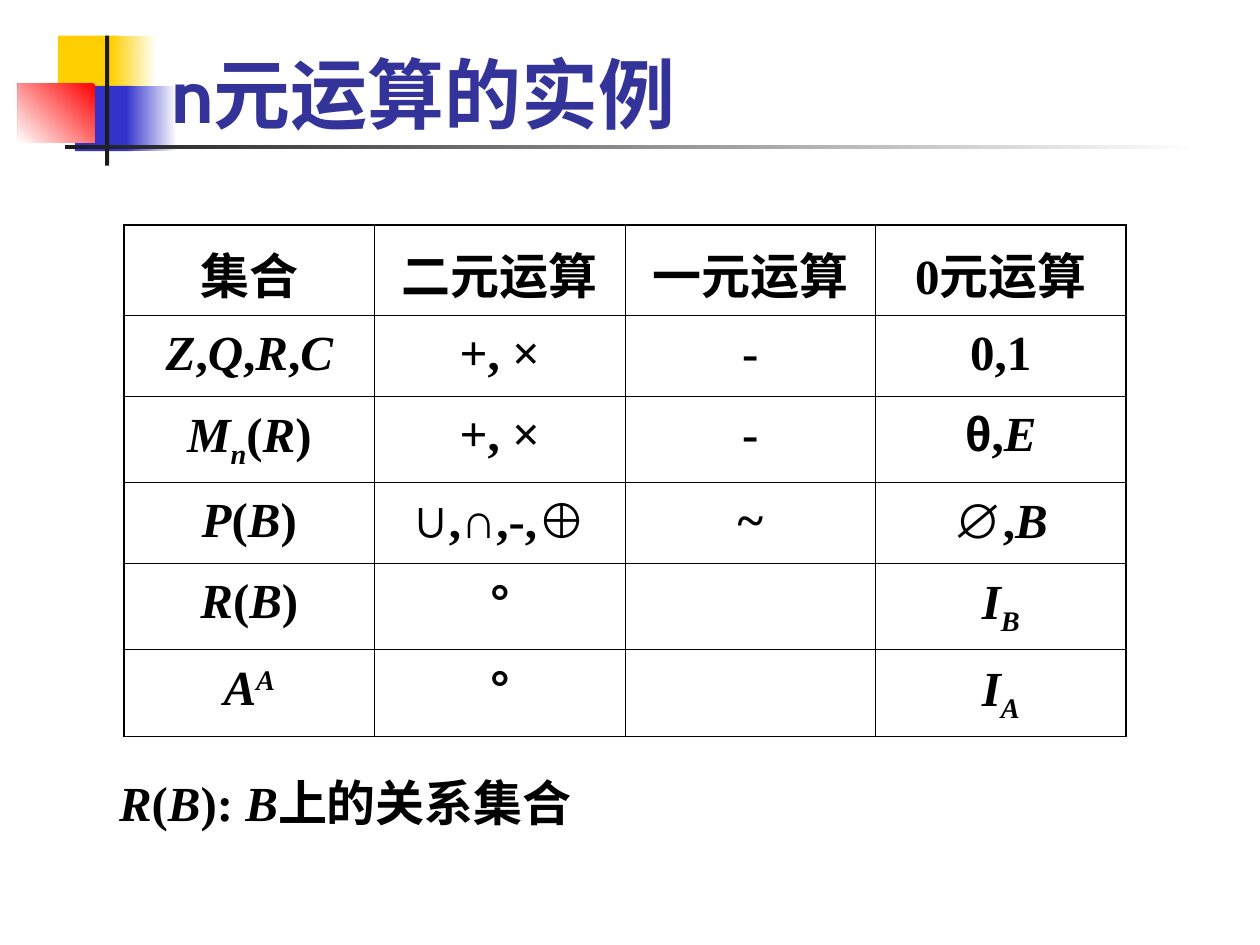
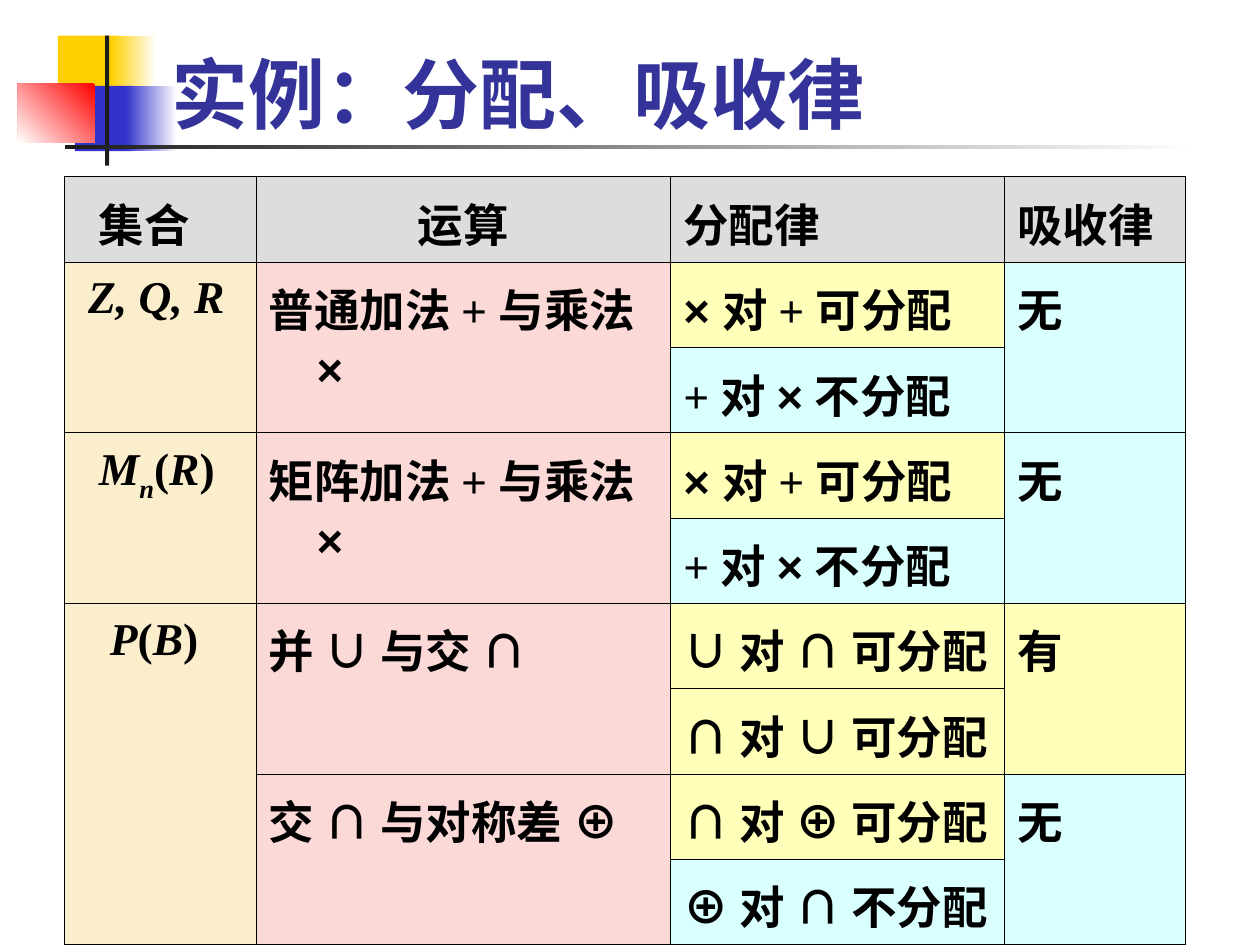
"""Build two slides on n-ary operations and their laws."""
from dataclasses import dataclass
from typing import NamedTuple, Optional

import lxml.etree
import pptx
import pptx.dml.color
import pptx.enum.shapes
import pptx.enum.text
import pptx.oxml.ns
import pptx.util
from pptx.util import Cm

BLACK, WHITE, CHARCOAL = "000000", "FFFFFF", "1C1C1C"
GOLD, BLUE, RED, TITLE_BLUE = "FFCF01", "3333CC", "FF0000", "333399"
GREY, CREAM, PINK, YELLOW, CYAN = "DDDDDD", "FBEECD", "FAD9D6", "FFFFB9", "D9FFFF"
SERIF, SANS, TITLE_FONT = "Times New Roman", "Arial", "Cabin"
THIN, THICK = 0.45, 1.08
HANGING, LEAD_STEP = 0.97, 0.22
CENTER = pptx.enum.text.PP_ALIGN.CENTER
LEFT = pptx.enum.text.PP_ALIGN.LEFT


class Box(NamedTuple):
    """Position and size in centimetres."""
    left: float
    top: float
    width: float
    height: float


class Block(NamedTuple):
    """Rectangle of the shared decoration, fading when end is given."""
    box: Box
    start: str
    end: Optional[str] = None
    angle: int = 180


class RunStyle(NamedTuple):
    """Character style chosen by the first letter of a run's markup."""
    italic: bool = False
    baseline: int = 0
    font: str = SERIF


@dataclass
class CellSpec:
    """Content and look of one table cell."""
    markup: str
    fill: Optional[str] = None
    align: pptx.enum.text.PP_ALIGN = LEFT
    margin: float = 0
    indent: float = 0


@dataclass
class TableSpec:
    """Grid of cells, where None continues the cell above."""
    box: Box
    columns: list[float]
    rows: list[float]
    cells: list[list[Optional[CellSpec]]]
    size: int
    outline: float = THIN


RUN_STYLES = {
    "*": RunStyle(italic=True),
    "_": RunStyle(italic=True, baseline=-25),
    "=": RunStyle(italic=True, baseline=-30),
    "^": RunStyle(italic=True, baseline=30),
    "@": RunStyle(font=SANS),
}

DECORATION = [
    Block(Box(1.17, 0.72, 1.22, 1.32), GOLD),
    Block(Box(2.24, 0.72, 0.91, 1.32), WHITE, GOLD),
    Block(Box(1.51, 1.73, 1.17, 1.32), BLUE),
    Block(Box(2.54, 1.73, 1.02, 1.32), WHITE, BLUE),
    Block(Box(0.36, 1.69, 1.55, 1.18), RED, WHITE, 225),
    Block(Box(2.12, 0.72, 0.08, 2.62), CHARCOAL),
    Block(Box(1.31, 2.92, 22.86, 0.08), WHITE, CHARCOAL),
]

OPERATIONS = [
    ["集合", "二元运算", "一元运算", "0元运算"],
    ["*Z|,|*Q|,|*R|,|*C", "+, ×", "-", "0,1"],
    ["*M|_n|(|*R|)", "+, ×", "-", "@θ|,|*E"],
    ["*P|(|*B|)", "@∪|,|@∩|,-,|@⊕", "~", "@∅|,|*B"],
    ["*R|(|*B|)", "@°", "", "*I|_B"],
    ["*A|^A", "@°", "", "*I|_A"],
]

LAWS = [
    ["集合", "运算", "分配律", "吸收律"],
    ["*Z, Q, R", "普通加法 + 与乘法 |@×", "@× |对 + 可分配", "无"],
    [None, None, "+ 对 |@×| 不分配", None],
    ["*M|=n|(|*R|)", "矩阵加法 + 与乘法 |@×", "@× |对 + 可分配", "无"],
    [None, None, "+ 对 |@×| 不分配", None],
    ["*P|(|*B|)", "并 |@∪| 与交 |@∩", "@∪ |对 |@∩| 可分配", "有"],
    [None, None, "@∩ |对 |@∪| 可分配", None],
    [None, "交 |@∩| 与对称差 |@⊕", "@∩ |对 |@⊕| 可分配", "无"],
    [None, None, "@⊕ |对 |@∩| 不分配", None],
]
SET_LEADS = {0: 2, 1: 1, 3: 2, 5: 3}


def color(value: str) -> pptx.dml.color.RGBColor:
    """Turn a hex string into a colour."""
    return pptx.dml.color.RGBColor.from_string(value)


def lengths(box: Box) -> list[Cm]:
    """Convert a box to lengths."""
    return [Cm(value) for value in box]


def draw_block(slide, block: Block) -> None:
    """Draw one rectangle of the decoration."""
    shape = slide.shapes.add_shape(
        pptx.enum.shapes.MSO_SHAPE.RECTANGLE, *lengths(block.box))
    shape.shadow.inherit = False
    shape.line.fill.background()
    if block.end is None:
        shape.fill.solid()
        shape.fill.fore_color.rgb = color(block.start)
        return
    shape.fill.gradient()
    shape.fill.gradient_angle = block.angle
    for stop, value in zip(shape.fill.gradient_stops, (block.start, block.end)):
        stop.color.rgb = color(value)


def format_font(font, name: str, size: int, value: str) -> None:
    """Set the bold font shared by all text."""
    font.name, font.size, font.bold = name, pptx.util.Pt(size), True
    font.color.rgb = color(value)


def write_markup(paragraph, markup: str, size: int) -> None:
    """Write runs separated by bars, each styled by its first letter."""
    for piece in filter(None, markup.split("|")):
        style = RUN_STYLES.get(piece[0], RunStyle())
        run = paragraph.add_run()
        run.text = piece[1:] if piece[0] in RUN_STYLES else piece
        format_font(run.font, style.font, size, BLACK)
        run.font.italic = style.italic
        if style.baseline:
            run.font._element.set("baseline", str(style.baseline * 1000))


def add_borders(cell, widths: dict[str, float]) -> None:
    """Put black lines on the sides of a cell."""
    properties = cell._tc.get_or_add_tcPr()
    for position, (side, width) in enumerate(widths.items()):
        line = lxml.etree.Element(
            pptx.oxml.ns.qn(f"a:ln{side}"), w=str(pptx.util.Pt(width)))
        fill = lxml.etree.SubElement(line, pptx.oxml.ns.qn("a:solidFill"))
        lxml.etree.SubElement(fill, pptx.oxml.ns.qn("a:srgbClr"), val=BLACK)
        properties.insert(position, line)


def fill_cell(cell, spec: CellSpec, size: int) -> None:
    """Write and align the text of a cell."""
    paragraph = cell.text_frame.paragraphs[0]
    paragraph.alignment = spec.align
    paragraph.line_spacing = 1.1
    properties = paragraph._p.get_or_add_pPr()
    properties.set("marL", str(Cm(spec.margin)))
    properties.set("indent", str(Cm(spec.indent)))
    write_markup(paragraph, spec.markup, size)


def draw_table(slide, spec: TableSpec) -> None:
    """Draw a table with its merges, fills and borders."""
    last_row, last_column = len(spec.rows) - 1, len(spec.columns) - 1
    table = slide.shapes.add_table(
        last_row + 1, last_column + 1, *lengths(spec.box)).table
    table.first_row = table.horz_banding = False
    for column, width in zip(table.columns, spec.columns):
        column.width = Cm(width)
    for row, height in zip(table.rows, spec.rows):
        row.height = Cm(height)
    for c in range(last_column + 1):
        origin = 0
        for r in range(last_row + 1):
            cell = table.cell(r, c)
            if spec.cells[r][c] is not None:
                origin = r
                fill_cell(cell, spec.cells[r][c], spec.size)
            fill = spec.cells[origin][c].fill
            if fill:
                cell.fill.solid()
                cell.fill.fore_color.rgb = color(fill)
            else:
                cell.fill.background()
            edges = {"L": c == 0, "R": c == last_column,
                     "T": r == 0, "B": r == last_row}
            add_borders(cell, {side: spec.outline if outer else THIN
                               for side, outer in edges.items()})
            if origin < r and (r == last_row or spec.cells[r + 1][c] is not None):
                table.cell(origin, c).merge(cell)


def add_titled_slide(presentation, title: str):
    """Add a slide with the decoration and a title."""
    slide = presentation.slides.add_slide(presentation.slide_layouts[6])
    for block in DECORATION:
        draw_block(slide, block)
    text_frame = slide.shapes.add_textbox(
        *lengths(Box(3.2, 0.21, 21.64, 2.72))).text_frame
    text_frame.word_wrap = True
    text_frame.vertical_anchor = pptx.enum.text.MSO_ANCHOR.BOTTOM
    text_frame.text = title
    format_font(text_frame.paragraphs[0].runs[0].font, TITLE_FONT, 44, TITLE_BLUE)
    return slide


def law_cell(row: int, column: int, markup: Optional[str]) -> Optional[CellSpec]:
    """Choose the fill and indents of a cell in the table of laws."""
    if markup is None:
        return None
    holds = "可分配" in markup or markup == "有"
    verdict = YELLOW if holds else CYAN
    fill = GREY if row == 0 else (CREAM, PINK, verdict, verdict)[column]
    if column == 0:
        return CellSpec(markup, fill, margin=SET_LEADS[row] * LEAD_STEP)
    align = CENTER if (row, column) == (0, 1) else LEFT
    return CellSpec(markup, fill, align, HANGING, -HANGING)


def build_operations(presentation) -> None:
    """Build the slide with examples of n-ary operations."""
    slide = add_titled_slide(presentation, "n元运算的实例")
    cells = [[CellSpec(markup, align=CENTER) for markup in row] for row in OPERATIONS]
    draw_table(slide, TableSpec(
        Box(2.5, 4.53, 20.2, 10.32), [5.05] * 4,
        [1.83, 1.62, 1.74, 1.63, 1.75, 1.75], cells, 28, THICK))
    text_frame = slide.shapes.add_textbox(
        *lengths(Box(2.15, 15.44, 9.92, 1.45))).text_frame
    text_frame.word_wrap = False
    text_frame.auto_size = pptx.enum.text.MSO_AUTO_SIZE.SHAPE_TO_FIT_TEXT
    write_markup(text_frame.paragraphs[0], "*R|(|*B|): |*B|上的关系集合", 28)


def build_laws(presentation) -> None:
    """Build the slide on distributive and absorption laws."""
    slide = add_titled_slide(presentation, "实例：分配、吸收律")
    cells = [[law_cell(r, c, markup) for c, markup in enumerate(row)]
             for r, row in enumerate(LAWS)]
    draw_table(slide, TableSpec(
        Box(1.3, 3.56, 22.6, 15.48), [3.86, 8.36, 6.73, 3.65],
        [1.72] * len(LAWS), cells, 26))


def main() -> None:
    """Build and save the presentation."""
    presentation = pptx.Presentation()
    presentation.slide_width, presentation.slide_height = Cm(25.4), Cm(19.05)
    build_operations(presentation)
    build_laws(presentation)
    presentation.save("out.pptx")


if __name__ == "__main__":
    main()
